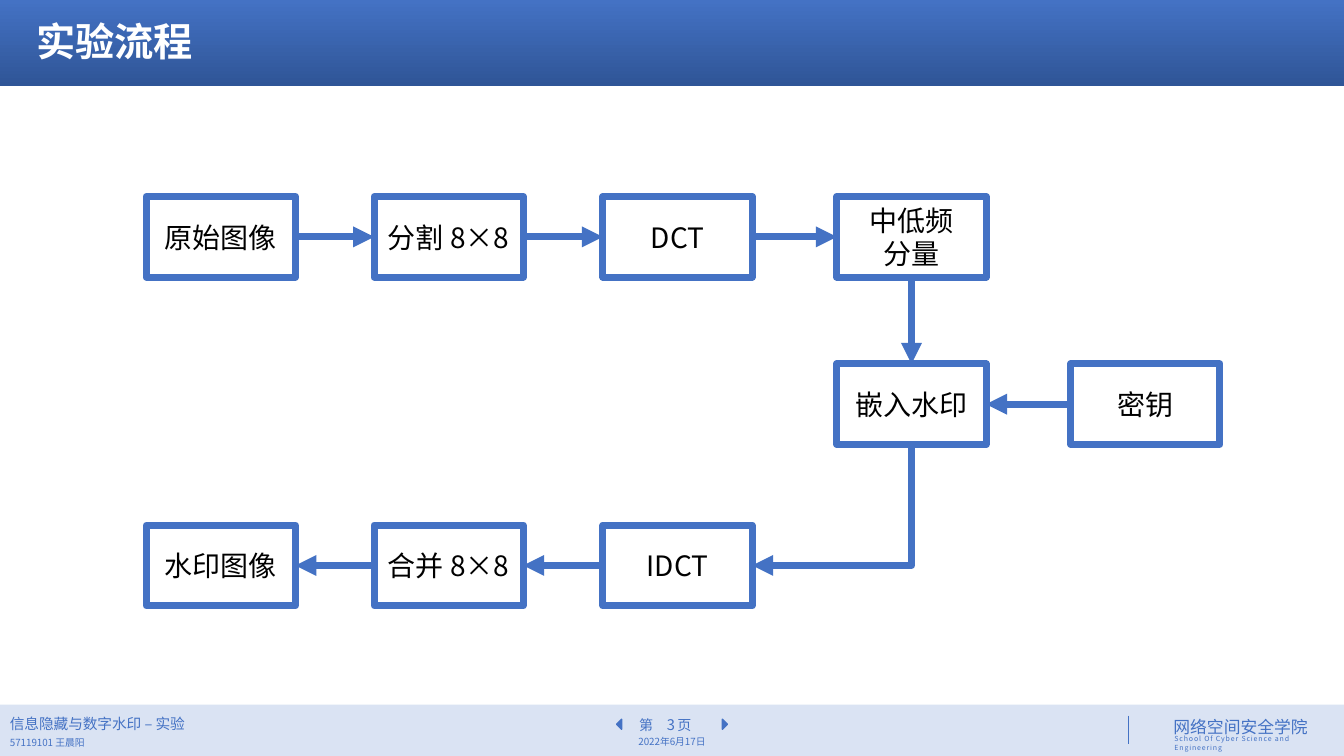
from dataclasses import dataclass

from lxml import etree
from pptx import Presentation
from pptx import util as u
from pptx.dml.color import RGBColor
from pptx.enum import shapes, text
from pptx.oxml import ns

TOP, LEFT, BOTTOM, RIGHT = range(4)


@dataclass(frozen=True)
class Theme:
    """Colours, fonts and type sizes of the slide."""
    blue: RGBColor = RGBColor(0x44, 0x72, 0xC4)
    navy: RGBColor = RGBColor(0x2F, 0x55, 0x97)
    pale: RGBColor = RGBColor(0xDA, 0xE3, 0xF3)
    white: RGBColor = RGBColor(0xFF, 0xFF, 0xFF)
    black: RGBColor = RGBColor(0, 0, 0)
    font: str = "Noto Sans CJK SC"
    school_font: str = "Noto Sans CJK JP"
    title: float = 28
    step: float = 20
    school: float = 12
    course: float = 10.5
    page: float = 10
    small: float = 7
    tiny: float = 5
    rule: float = 1
    flow: float = 5


T = Theme()


def write(s, words, size, color, font=T.font, align=None, bold=None):
    """Fill a shape with text in one style and return its text frame."""
    tf = s.text_frame
    tf.word_wrap = True
    tf.text = words
    for p in tf.paragraphs:
        p.alignment = align
        for r in p.runs:
            r.font.size = u.Pt(size)
            r.font.bold = bold
            r.font.color.rgb = color
            r.font.name = font
            etree.SubElement(r.font._element, ns.qn("a:ea"), typeface=font)
    return tf


def add_label(slide, box, words, size, color=T.blue, **style):
    """Add a text box and return its text frame."""
    s = slide.shapes.add_textbox(*map(u.Inches, box))
    return write(s, words, size, color, **style)


def add_plain(slide, kind, box):
    """Add a preset shape without shadow or outline."""
    s = slide.shapes.add_shape(kind, *map(u.Inches, box))
    s.shadow.inherit = False
    s.line.fill.background()
    return s


def style_line(c, width):
    """Give a connector its colour and width and no shadow."""
    c.line.color.rgb = T.blue
    c.line.width = u.Pt(width)
    etree.SubElement(c._element.spPr, ns.qn("a:effectLst"))


def add_header(slide, box, title):
    """Draw the gradient title band."""
    x, y, w, h = box
    band = add_plain(slide, shapes.MSO_SHAPE.RECTANGLE, box)
    band.fill.gradient()
    band.fill.gradient_angle = 270
    for stop, color in zip(band.fill.gradient_stops, (T.blue, T.navy)):
        stop.color.rgb = color
    tf = add_label(slide, (x + 0.26, y + 0.15, w - 0.52, h - 0.29), title,
                   T.title, T.white, bold=True)
    tf.vertical_anchor = text.MSO_ANCHOR.MIDDLE
    tf.paragraphs[0].line_spacing = 0.9


def add_pager(slide, box):
    """Draw the page number between two arrows, with the date below."""
    x, y, w, h = box
    center = text.PP_ALIGN.CENTER
    tf = add_label(slide, (x + 0.18, y + 0.07, 0.85, 0.27), "第\t页", T.page)
    pPr = tf.paragraphs[0]._p.get_or_add_pPr()
    tabs = etree.SubElement(pPr, ns.qn("a:tabLst"))
    etree.SubElement(tabs, ns.qn("a:tab"), pos=str(u.Inches(0.38)), algn="l")
    for left, turn in ((x + 0.03, 270), (x + 1.08, 90)):
        s = add_plain(slide, shapes.MSO_SHAPE.ISOSCELES_TRIANGLE,
                      (left, y + 0.17, 0.1, 0.05))
        s.rotation = turn
        s.fill.solid()
        s.fill.fore_color.rgb = T.blue
        s.line.color.rgb = T.blue
        s.line.width = u.Pt(T.rule)
    add_label(slide, (x, y + 0.26, w, 0.2), "2022年6月17日", T.small, align=center)
    add_label(slide, (x + 0.38, y + 0.06, 0.43, 0.27), "3", T.course, align=center)


def add_school(slide, box):
    """Draw the rule and the school name in two languages."""
    x, y, w, h = box
    c = slide.shapes.add_connector(
        shapes.MSO_CONNECTOR.STRAIGHT,
        *map(u.Inches, (x, y + 0.11, x, y + 0.39)))
    style_line(c, T.rule)
    add_label(slide, (x + 0.35, y + 0.07, 1.56, 0.3), "网络空间安全学院",
              T.school, font=T.school_font)
    tf = add_label(slide, (x + 0.36, y + 0.25, w - 0.36, 0.19),
                   "School Of Cyber Science and Engineering", T.tiny)
    tf.paragraphs[0].runs[0].font._element.set("spc", "60")


def add_footer(slide, box):
    """Draw the footer band with course, pager and school."""
    x, y, w, h = box
    band = add_plain(slide, shapes.MSO_SHAPE.RECTANGLE, box)
    band.fill.solid()
    band.fill.fore_color.rgb = T.pale
    add_label(slide, (x, y + 0.05, 4.47, 0.28), "信息隐藏与数字水印 – 实验", T.course)
    add_label(slide, (x, y + 0.27, 4.47, 0.19), "57119101 王晨阳", T.small)
    add_pager(slide, (x + 6.06, y, 1.21, h))
    add_school(slide, (x + 11.19, y, w - 11.19, h))


def add_step(slide, box, words):
    """Draw one outlined step of the flow."""
    s = add_plain(slide, shapes.MSO_SHAPE.RECTANGLE, box)
    s.fill.background()
    s.line.color.rgb = T.blue
    s.line.width = u.Pt(T.flow)
    tf = write(s, words, T.step, T.black, align=text.PP_ALIGN.CENTER)
    tf.vertical_anchor = text.MSO_ANCHOR.MIDDLE
    return s


def add_arrow(slide, start, start_side, end, end_side,
              kind=shapes.MSO_CONNECTOR.STRAIGHT):
    """Join two steps with an arrow."""
    c = slide.shapes.add_connector(kind, 0, 0, 0, 0)
    c.begin_connect(start, start_side)
    c.end_connect(end, end_side)
    style_line(c, T.flow)
    etree.SubElement(c.line._get_or_add_ln(), ns.qn("a:tailEnd"), type="triangle")
    return c


def bend_once(c):
    """Turn an elbow running down and left into a single corner."""
    x, y, w, h = c.left, c.top, c.width, c.height
    c.left, c.top = x + (w - h) // 2, y + (h - w) // 2
    c.width, c.height = h, w
    xfrm = c._element.spPr.find(ns.qn("a:xfrm"))
    xfrm.attrib.pop("flipH", None)
    xfrm.set("rot", "5400000")
    c._element.spPr.find(ns.qn("a:prstGeom")).set("prst", "bentConnector2")


def add_flow(slide, box):
    """Draw the watermark flow chart."""
    x, y, w, h = box
    cols = (0, 2.26, 4.53, 6.85, 9.17)
    rows = (0, 1.66, 3.26)
    grid = (("原始图像", "分割 8×8", "DCT", "中低频\n分量", None),
            (None, None, None, "嵌入水印", "密钥"),
            ("水印图像", "合并 8×8", "IDCT", None, None))
    steps = {(i, j): add_step(slide, (x + cols[j], y + rows[i], 1.48, 0.8), words)
             for i, line in enumerate(grid) for j, words in enumerate(line) if words}
    for j in range(3):
        add_arrow(slide, steps[0, j], RIGHT, steps[0, j + 1], LEFT)
    add_arrow(slide, steps[0, 3], BOTTOM, steps[1, 3], TOP)
    for i, j in ((1, 4), (2, 2), (2, 1)):
        add_arrow(slide, steps[i, j], LEFT, steps[i, j - 1], RIGHT)
    bend_once(add_arrow(slide, steps[1, 3], BOTTOM, steps[2, 2], RIGHT,
                        shapes.MSO_CONNECTOR.ELBOW))


def main():
    """Build the slide and save it."""
    prs = Presentation()
    prs.slide_width, prs.slide_height = u.Inches(13.33), u.Inches(7.5)
    slide = prs.slides.add_slide(prs.slide_layouts[6])
    add_footer(slide, (0, 6.99, 13.33, 0.51))
    add_header(slide, (0, 0, 13.33, 0.85), "实验流程")
    add_flow(slide, (1.45, 1.95, 10.65, 4.06))
    prs.save("out.pptx")


if __name__ == "__main__":
    main()
